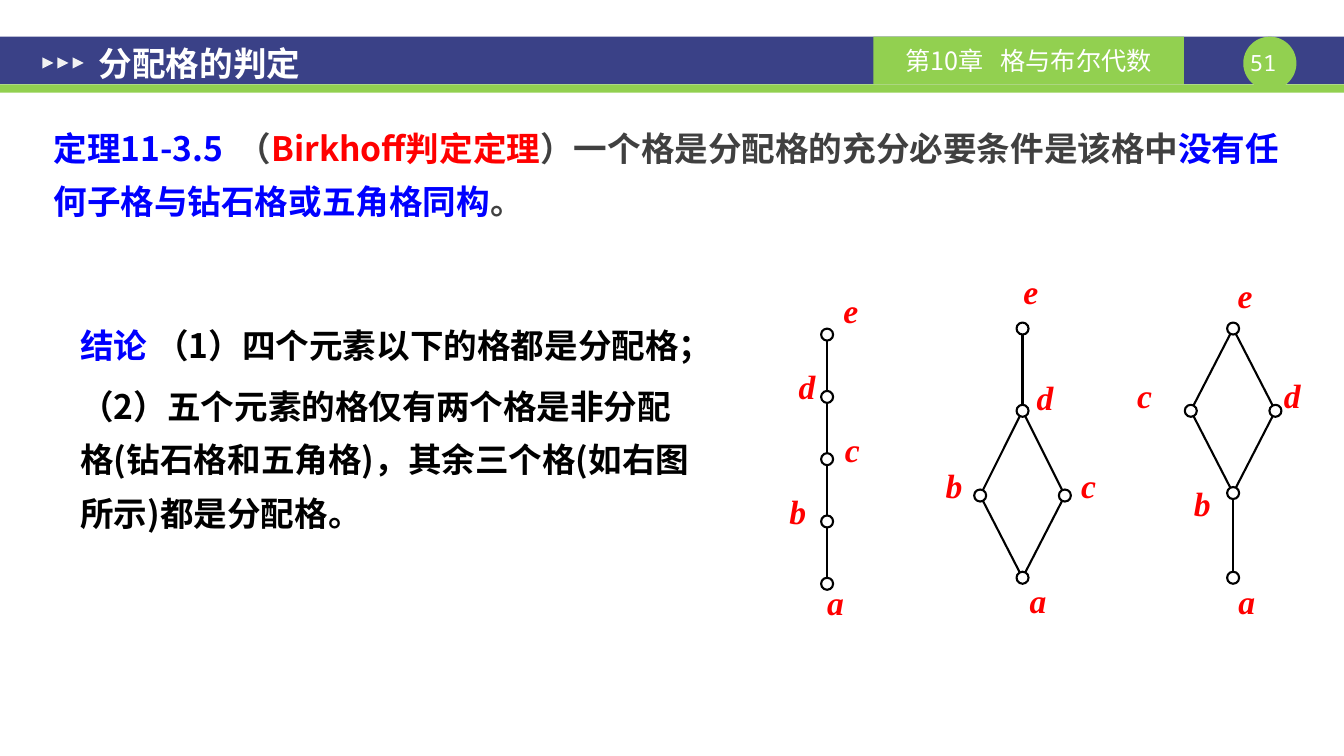
from lxml import etree
from pptx import Presentation
from pptx.dml.color import RGBColor
from pptx.enum.shapes import MSO_CONNECTOR, MSO_SHAPE
from pptx.enum.text import MSO_ANCHOR, MSO_AUTO_SIZE, PP_ALIGN
from pptx.oxml.ns import qn
from pptx.util import Pt

RECT, OVAL, TRI = MSO_SHAPE.RECTANGLE, MSO_SHAPE.OVAL, MSO_SHAPE.ISOSCELES_TRIANGLE
LINE = MSO_CONNECTOR.STRAIGHT
LEFT, MID = PP_ALIGN.LEFT, PP_ALIGN.CENTER
TOP, HALF = MSO_ANCHOR.TOP, MSO_ANCHOR.MIDDLE
FIXED = MSO_AUTO_SIZE.NONE

INK = {
    "navy": "3A4187", "green": "92D050", "white": "FFFFFF", "pale": "F2F2F2",
    "blue": "0000FF", "red": "FF0000", "gray": "404040", "black": "000000",
}
SANS = "Noto Sans CJK SC"
HEAD = {"name": "Arial", "size": Pt(24), "bold": True}
TEXT = {"name": SANS, "size": Pt(24), "bold": True}
CHAP = {"name": SANS, "size": Pt(18), "bold": False}
PAGE = {"name": "Noto Sans Mono", "size": Pt(16), "bold": False}
MARK = {"name": "Times New Roman", "size": Pt(24), "bold": True, "italic": True}


def apply(item, fmt):
    for key, value in fmt.items():
        setattr(item, key, value)


def rgb(name):
    return RGBColor.from_string(INK[name])


def place(item, box):
    apply(item, dict(zip(("left", "top", "width", "height"), map(Pt, box))))


def shape(slide, kind, box, fill, edge=None):
    item = slide.shapes.add_shape(kind, *map(Pt, box))
    item.shadow.inherit = False
    item.fill.solid()
    item.fill.fore_color.rgb = rgb(fill)
    if edge:
        item.line.color.rgb = rgb(edge)
        item.line.width = Pt(1.5)
    else:
        item.line.fill.background()
    return item


def label(slide, box):
    return slide.shapes.add_textbox(*map(Pt, box))


def write(item, paras, font, align=LEFT, anchor=TOP, pad=(0, 0), wrap=True,
          pitch=None, gap=0):
    frame = item.text_frame
    apply(frame, {
        "word_wrap": wrap, "auto_size": FIXED, "vertical_anchor": anchor,
        "margin_left": Pt(pad[0]), "margin_right": Pt(pad[0]),
        "margin_top": Pt(pad[1]), "margin_bottom": Pt(pad[1]),
    })
    for i, runs in enumerate(paras):
        para = frame.add_paragraph() if i else frame.paragraphs[0]
        apply(para, {"alignment": align, "space_before": Pt(gap if i else 0)})
        if pitch:
            para.line_spacing = Pt(pitch)
        for text, color, *wide in runs:
            run = para.add_run()
            run.text = text
            apply(run.font, font)
            run.font.color.rgb = rgb(color)
            props = run.font._element
            etree.SubElement(props, qn("a:ea")).set("typeface", SANS)
            if wide:
                props.set("spc", str(wide[0] * 100))


def header(slide, box):
    x, y, w, h = box
    shape(slide, RECT, box, "navy")
    shape(slide, RECT, (x, y + h, w, 6), "green")
    shape(slide, OVAL, (x + 888.5, y, 38, 38), "green")
    page = label(slide, (x + 888.5, y + 8.6, 38, 19.4))
    write(page, [[("51 ", "white")]], PAGE, MID)
    chap = shape(slide, RECT, (x + 624.2, y, 221.8, h), "green")
    write(chap, [[("第10章", "white"), (" ", "white", 8), ("格与布尔代数", "white")]],
          CHAP, MID, HALF, (7.2, 3.6))
    for i in range(3):
        arrow = shape(slide, TRI, (x + 30.2 + 10.8 * i, y + 14.8, 8, 8), "pale")
        arrow.rotation = 90
    title = slide.shapes.title
    title.element.getparent().append(title.element)
    place(title, (x + 61.2, y + 2, 420, h))
    write(title, [[("分配格的判定", "white")]], HEAD, LEFT, HALF, (9.4, 5))


def theorem(slide, box):
    body = slide.placeholders[1]
    place(body, box)
    para = body.text_frame.paragraphs[0]
    props = para._p.get_or_add_pPr()
    apply_list = {"marL": "0", "indent": "0"}
    for key, value in apply_list.items():
        props.set(key, value)
    etree.SubElement(props, qn("a:buNone"))
    write(body, [[
        ("定理11-3.5", "blue"), (" ", "blue", 5), ("（", "gray"),
        ("Birkhoff判定定理", "red"),
        ("）一个格是分配格的充分必要条件是该格中", "gray"),
        ("没有任何子格与钻石格或五角格同构", "blue"), ("。", "gray"),
    ]], TEXT, pad=(9.4, 5), pitch=38)


def result(slide, box):
    write(label(slide, box), [
        [("结论 ", "blue"), ("（1）四个元素以下的格都是分配格；", "black")],
        [("（2）五个元素的格仅有两个格是非分配格(钻石格和五角格)，"
          "其余三个格(如右图所示)都是分配格。", "black")],
    ], TEXT, pad=(7.2, 3.6), pitch=38, gap=6)


def hasse(slide, box, nodes, edges):
    x, y, w, h = box
    spots = {n: (x + w * u, y + h * v) for n, (u, v, *_) in nodes.items()}
    for start, end in edges:
        line = slide.shapes.add_connector(LINE, *map(Pt, spots[start] + spots[end]))
        line.line.color.rgb = rgb("black")
        line.line.width = Pt(1.5)
        etree.SubElement(line.element.spPr, qn("a:effectLst"))
    for name, (_, _, dx, dy) in nodes.items():
        cx, cy = spots[name]
        shape(slide, OVAL, (cx - 4.3, cy - 4.3, 8.6, 8.6), "white", "black")
        mark = label(slide, (cx + dx - 9, cy + dy, 18, 28))
        write(mark, [[(name, "red")]], MARK, MID, wrap=False)


def main():
    deck = Presentation()
    apply(deck, {"slide_width": Pt(960.48), "slide_height": Pt(540)})
    slide = deck.slides.add_slide(deck.slide_layouts[1])
    header(slide, (0, 26.2, 960.48, 34))
    theorem(slide, (28.8, 76.8, 895.7, 98))
    result(slide, (50.4, 219, 456.5, 160.6))
    hasse(slide, (591.1, 239, 0, 178), {
        "a": (0, 1, 6, -1), "b": (0, 0.75, -21, -21.6), "c": (0, 0.5, 18, -21.6),
        "d": (0, 0.25, -14.4, -22.3), "e": (0, 0, 17, -31.7),
    }, ["ab", "bc", "cd", "de"])
    hasse(slide, (700.5, 234.7, 60.5, 178), {
        "a": (0.5, 1, 11, 1.4), "b": (0, 0.67, -18.7, -21.6),
        "c": (1, 0.67, 17, -21.6), "d": (0.5, 0.33, 16, -24),
        "e": (0.5, 0, 6, -41),
    }, ["ab", "ac", "bd", "cd", "de"])
    hasse(slide, (851, 234.7, 60.5, 178), {
        "a": (0.5, 1, 9.7, 2), "b": (0.5, 0.66, -22, -7),
        "c": (0, 0.33, -33, -26), "d": (1, 0.33, 12, -26),
        "e": (0.5, 0, 8.6, -38),
    }, ["ab", "bc", "bd", "ce", "de"])
    deck.save("out.pptx")


if __name__ == "__main__":
    main()
